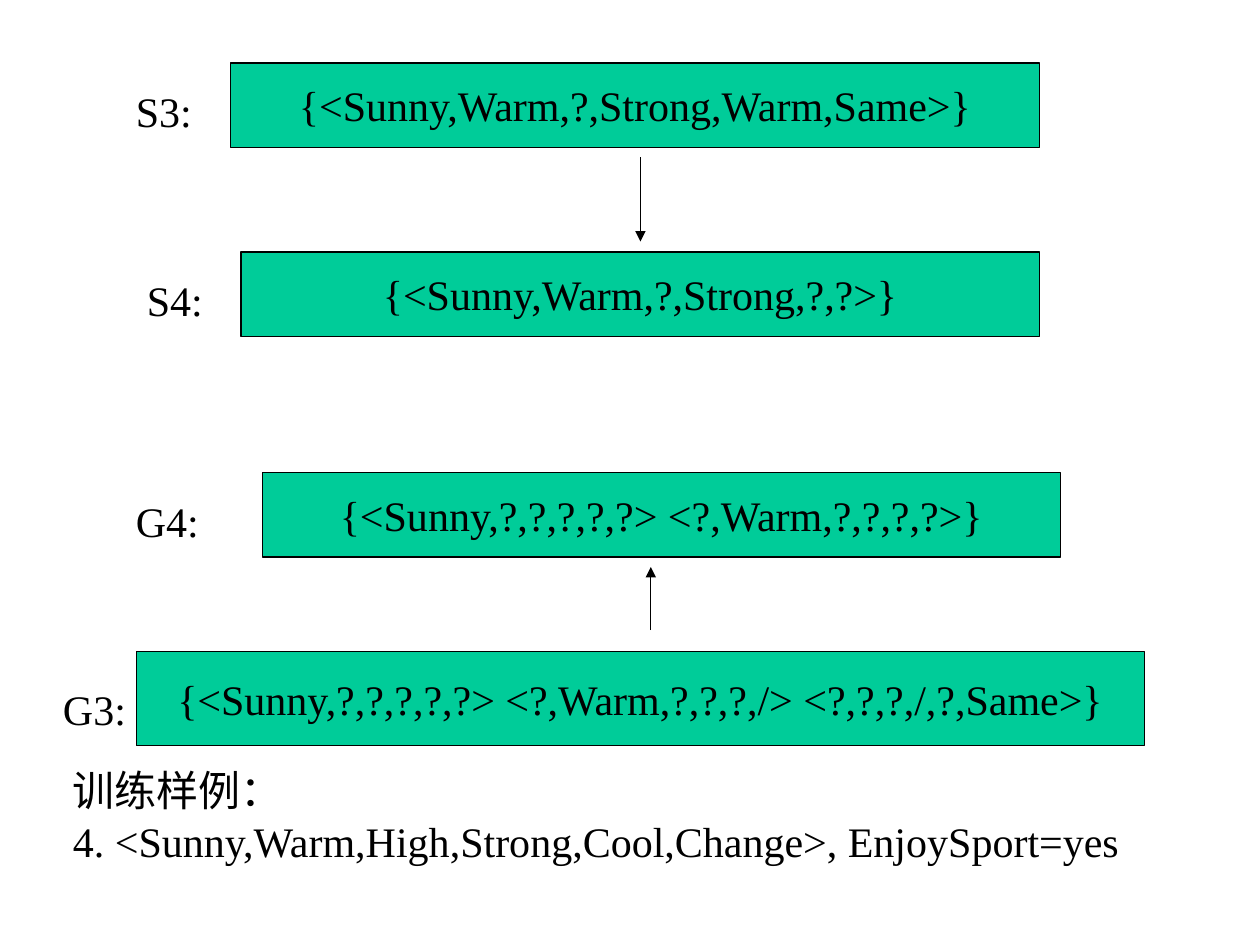
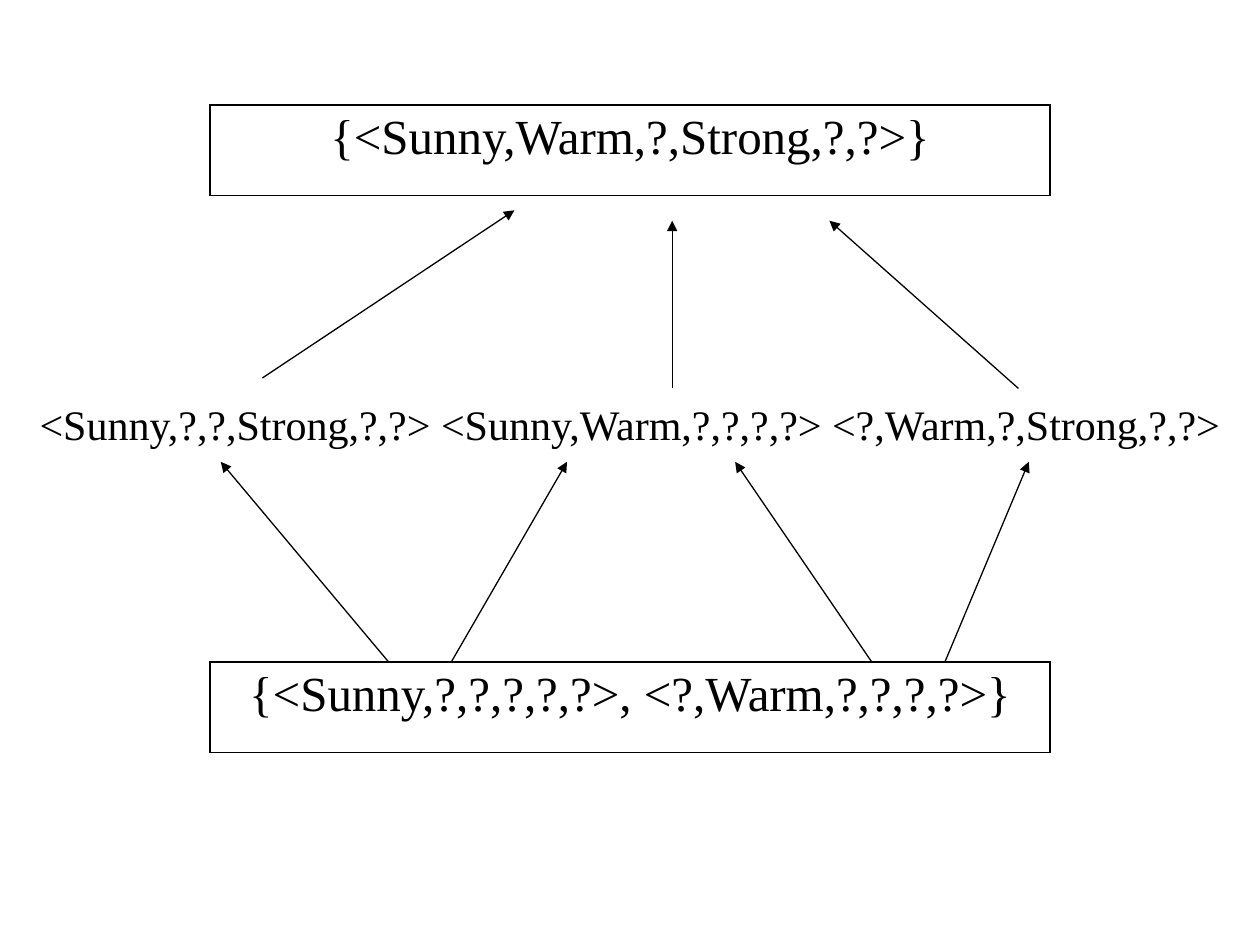
from dataclasses import dataclass

from lxml import etree
from pptx import Presentation
from pptx import util as u
from pptx.dml.color import RGBColor
from pptx.enum import shapes, text
from pptx.oxml import parse_xml
from pptx.oxml.ns import nsdecls, qn


@dataclass(frozen=True)
class Theme:
    ink: RGBColor = RGBColor(0x00, 0x00, 0x00)
    box_fill: RGBColor = RGBColor(0x00, 0xCC, 0x99)
    font: str = "Times New Roman"
    body: int = 24
    large: int = 28
    line: float = 0.75
    border: float = 1.08


THEME = Theme()
LEFT, CENTER = text.PP_ALIGN.LEFT, text.PP_ALIGN.CENTER
LABEL_H = 1.27


def cm(*lengths):
    return [u.Cm(v) for v in lengths]


def write(tf, words, align=LEFT, size=THEME.body):
    tf.text = words
    for p in tf.paragraphs:
        p.alignment = align
        for r in p.runs:
            r.font.name = THEME.font
            r.font.size = u.Pt(size)
            r.font.color.rgb = THEME.ink


def add_text(s, words, x, y, w, h, align=LEFT, wrap=True):
    tf = s.shapes.add_textbox(*cm(x, y, w, h)).text_frame
    tf.word_wrap = wrap
    write(tf, words, align)


def add_arrow(s, x1, y1, x2, y2):
    c = s.shapes.add_connector(shapes.MSO_CONNECTOR.STRAIGHT, *cm(x1, y1, x2, y2))
    c.line.color.rgb = THEME.ink
    c.line.width = u.Pt(THEME.line)
    etree.SubElement(c.line._get_or_add_ln(), qn("a:tailEnd"), type="triangle")
    etree.SubElement(c._element.spPr, qn("a:effectLst"))


def add_process(s, words, x, y, w, h):
    sp = s.shapes.add_shape(shapes.MSO_SHAPE.FLOWCHART_PROCESS, *cm(x, y, w, h))
    sp.shadow.inherit = False
    sp.fill.solid()
    sp.fill.fore_color.rgb = THEME.box_fill
    sp.line.color.rgb = THEME.ink
    sp.line.width = u.Pt(THEME.line)
    tf = sp.text_frame
    tf.word_wrap = False
    tf.vertical_anchor = text.MSO_ANCHOR.MIDDLE
    write(tf, words, CENTER)


def add_framed_set(s, words, x, y, w, h):
    table = s.shapes.add_table(1, 1, *cm(x, y, w, h)).table
    table.first_row = table.horz_banding = False
    cell = table.cell(0, 0)
    tcPr = cell._tc.get_or_add_tcPr()
    for side in "LRTB":
        tcPr.append(parse_xml(
            f'<a:ln{side} {nsdecls("a")} w="{u.Pt(THEME.border)}"><a:solidFill>'
            f'<a:srgbClr val="{THEME.ink}"/></a:solidFill></a:ln{side}>'))
    cell.fill.background()
    write(cell.text_frame, words, CENTER, THEME.large)


def boundary_update(s, left, top, rows, arrow):
    for label, words, label_x, label_w, x, y, w, h in rows:
        add_process(s, words, left + x, top + y, w, h)
        add_text(s, label, left + label_x, top + y + h - LABEL_H - 0.1,
                 label_w, LABEL_H, wrap=False)
    x, start, end = arrow
    add_arrow(s, left + x, top + start, left + x, top + end)


def lattice(s, left, top, width):
    frame_w, frame_h, general_y = 16.94, 1.83, 11.23
    frame_x = left + (width - frame_w) / 2
    add_framed_set(s, "{<Sunny,Warm,?,Strong,?,?>}", frame_x, top, frame_w, frame_h)
    add_framed_set(s, "{<Sunny,?,?,?,?,?>, <?,Warm,?,?,?,?>}",
                   frame_x, top + general_y, frame_w, frame_h)
    add_text(s, "<Sunny,?,?,Strong,?,?> <Sunny,Warm,?,?,?,?> <?,Warm,?,Strong,?,?>",
             left, top + 5.79, width, LABEL_H, CENTER)
    lower = [(7.83, 4.45), (9.1, 11.43), (17.57, 14.82), (19.05, 20.74)]
    upper = [(5.29, 5.51, 10.37, 2.13), (13.55, 5.72, 13.55, 2.34),
             (20.53, 5.72, 16.72, 2.34)]
    for x1, y1, x2, y2 in [(a, general_y, b, 7.2) for a, b in lower] + upper:
        add_arrow(s, left + x1, top + y1, left + x2, top + y2)


def training_slide(s):
    boundary_update(s, 2.49, 1.27, [
        ("S3:", "{<Sunny,Warm,?,Strong,Warm,Same>}", 0, 1.63, 2.16, 0, 16.3, 1.7),
        ("S4:", "{<Sunny,Warm,?,Strong,?,?>}", 0.22, 1.63, 2.37, 3.81, 16.09, 1.7),
    ], (10.42, 1.9, 3.6))
    boundary_update(s, 1.02, 9.53, [
        ("G4:", "{<Sunny,?,?,?,?,?> <?,Warm,?,?,?,?>}", 1.47, 1.78, 4.27, 0, 16.09, 1.7),
        ("G3:", "{<Sunny,?,?,?,?,?> <?,Warm,?,?,?,/> <?,?,?,/,?,Same>}",
         0, 1.78, 1.73, 3.6, 20.32, 1.9),
    ], (12.1, 3.17, 1.9))
    add_text(s, "训练样例：\n4. <Sunny,Warm,High,Strong,Cool,Change>, EnjoySport=yes",
             1.22, 15.29, 23.55, 2.29)


def main():
    prs = Presentation()
    prs.slide_width, prs.slide_height = cm(25.4, 19.05)
    blank = prs.slide_layouts[6]
    training_slide(prs.slides.add_slide(blank))
    lattice(prs.slides.add_slide(blank), 0, 2.11, 25.4)
    prs.save("out.pptx")


if __name__ == "__main__":
    main()
